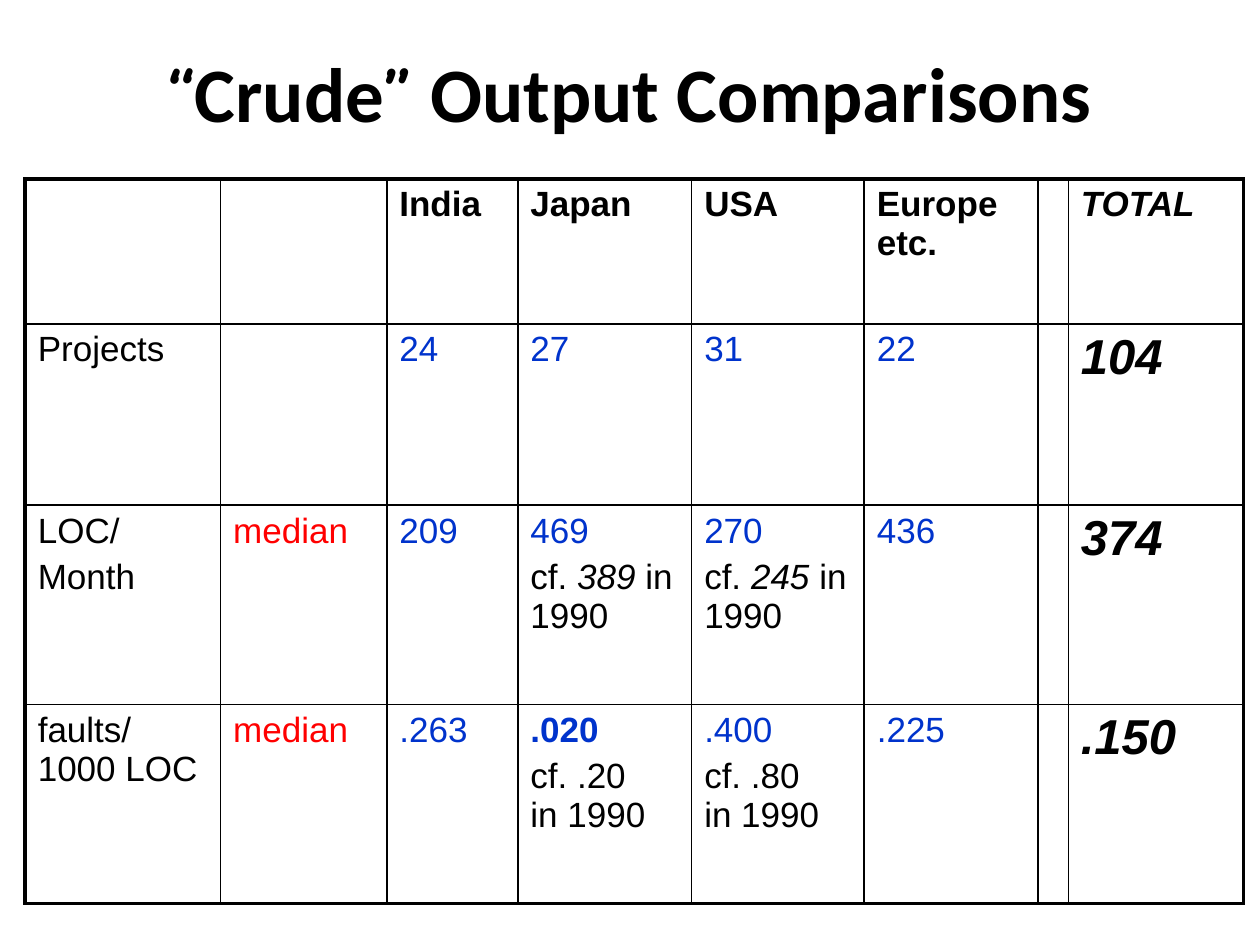
import pptx
import pptx.dml.color
import pptx.enum.text
import pptx.oxml
import pptx.oxml.ns
import pptx.util
from pptx.util import Inches

BLACK = pptx.dml.color.RGBColor(0x00, 0x00, 0x00)
BLUE = pptx.dml.color.RGBColor(0x00, 0x33, 0xCC)
RED = pptx.dml.color.RGBColor(0xFF, 0x00, 0x00)

PLAIN = {"name": "Arial", "size": pptx.util.Pt(20), "bold": False, "italic": False}
STYLES = {
    "label": {**PLAIN, "color": BLACK},
    "heading": {**PLAIN, "bold": True, "color": BLACK},
    "total heading": {**PLAIN, "bold": True, "italic": True, "color": BLACK},
    "total": {**PLAIN, "size": pptx.util.Pt(28), "bold": True, "italic": True, "color": BLACK},
    "value": {**PLAIN, "color": BLUE},
    "best": {**PLAIN, "bold": True, "color": BLUE},
    "median": {**PLAIN, "color": RED},
    "earlier": {**PLAIN, "italic": True, "color": BLACK},
}
TITLE_STYLE = {"size": pptx.util.Pt(44), "bold": True, "color": BLACK}
TITLE_RUNS = [("“", "Comic Neue"), ("Crude", "Calibri"), ("”", "Comic Neue"),
              (" Output Comparisons", "Calibri")]

COLUMN_WIDTHS = [1.55, 1.32, 1.04, 1.38, 1.37, 1.38, 0.23, 1.39]
ROW_HEIGHTS = [1.15, 1.44, 1.58, 1.58]
INNER_LINE, OUTER_LINE = 1, 2.25
BREAK = ("\n", None)


def one(text, style):
    """Return cell content of a single paragraph with a single run."""
    return [[(text, style)]]


def loc_cell(value, earlier):
    return [[(value, "value")],
            [("cf. ", "label"), (earlier, "earlier"), (" in 1990", "label")]]


def fault_cell(value, style, earlier):
    return [[(value, style)],
            [(f"cf. {earlier}", "label"), BREAK, ("in 1990", "label")]]


ROWS = [
    [[], [], *(one(name, "heading") for name in ("India", "Japan", "USA", "Europe etc.")),
     [], one("TOTAL", "total heading")],
    [one("Projects", "label"), [],
     *(one(count, "value") for count in ("24", "27", "31", "22")),
     [], one("104", "total")],
    [[[("LOC/", "label")], [("Month", "label")]], one("median", "median"),
     one("209", "value"), loc_cell("469", "389"), loc_cell("270", "245"),
     one("436", "value"), [], one("374", "total")],
    [one("faults/ 1000 LOC", "label"), one("median", "median"),
     one(".263", "value"), fault_cell(".020", "best", ".20"),
     fault_cell(".400", "value", ".80"), one(".225", "value"), [], one(".150", "total")],
]


def add_run(para, text, style):
    span = para.add_run()
    span.text = text
    for key, value in style.items():
        if key == "color":
            span.font.color.rgb = value
        else:
            setattr(span.font, key, value)


def add_title(page):
    box = page.shapes.title
    place = {"left": 0.33, "top": 0.22, "width": 9.33, "height": 1.02}
    for key, value in place.items():
        setattr(box, key, Inches(value))
    box.text_frame.vertical_anchor = pptx.enum.text.MSO_ANCHOR.MIDDLE
    para = box.text_frame.paragraphs[0]
    para.alignment = pptx.enum.text.PP_ALIGN.CENTER
    for text, font_name in TITLE_RUNS:
        add_run(para, text, {**TITLE_STYLE, "name": font_name})


def fill_cell(cell, paragraphs):
    """Write the paragraphs, each spaced by 20 % of its text size."""
    frame = cell.text_frame
    for number, runs in enumerate(paragraphs):
        para = frame.add_paragraph() if number else frame.paragraphs[0]
        para.space_before = int(STYLES[runs[0][1]]["size"] * 0.2)
        for run in runs:
            if run == BREAK:
                para.add_line_break()
            else:
                add_run(para, run[0], STYLES[run[1]])


def set_borders(cell, is_outer):
    """Draw the four sides; is_outer maps L, R, T, B to whether that side is on the edge."""
    properties = cell._tc.get_or_add_tcPr()
    namespace = pptx.oxml.ns.nsdecls("a")
    for position, (side, outer) in enumerate(is_outer.items()):
        width = pptx.util.Pt(OUTER_LINE if outer else INNER_LINE)
        line = pptx.oxml.parse_xml(
            f'<a:ln{side} {namespace} w="{int(width)}"><a:solidFill>'
            f'<a:srgbClr val="{BLACK}"/></a:solidFill></a:ln{side}>')
        properties.insert(position, line)


def add_comparison_table(page):
    row_count, column_count = len(ROW_HEIGHTS), len(COLUMN_WIDTHS)
    table = page.shapes.add_table(
        row_count, column_count, Inches(0.2), Inches(1.42),
        Inches(sum(COLUMN_WIDTHS)), Inches(sum(ROW_HEIGHTS))).table
    table.first_row = table.horz_banding = False
    for column, width in zip(table.columns, COLUMN_WIDTHS):
        column.width = Inches(width)
    for row, height in zip(table.rows, ROW_HEIGHTS):
        row.height = Inches(height)
    for row_index, contents in enumerate(ROWS):
        for column_index, paragraphs in enumerate(contents):
            cell = table.cell(row_index, column_index)
            cell.fill.background()
            fill_cell(cell, paragraphs)
            set_borders(cell, {"L": column_index == 0,
                               "R": column_index == column_count - 1,
                               "T": row_index == 0,
                               "B": row_index == row_count - 1})


def main():
    deck = pptx.Presentation()
    deck.slide_width, deck.slide_height = Inches(10), Inches(7.5)
    page = deck.slides.add_slide(deck.slide_layouts[5])
    add_title(page)
    add_comparison_table(page)
    deck.save("out.pptx")


if __name__ == "__main__":
    main()
